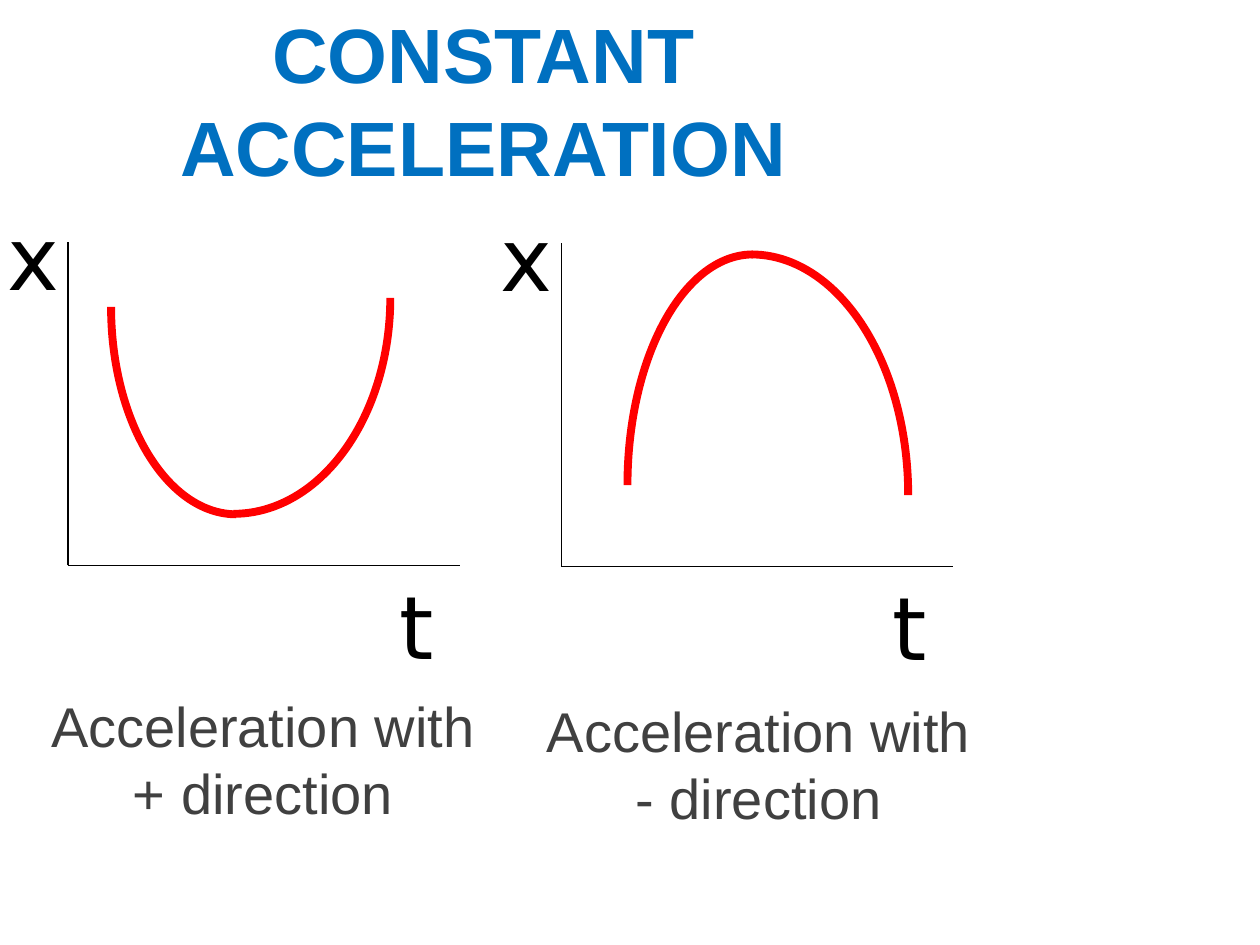
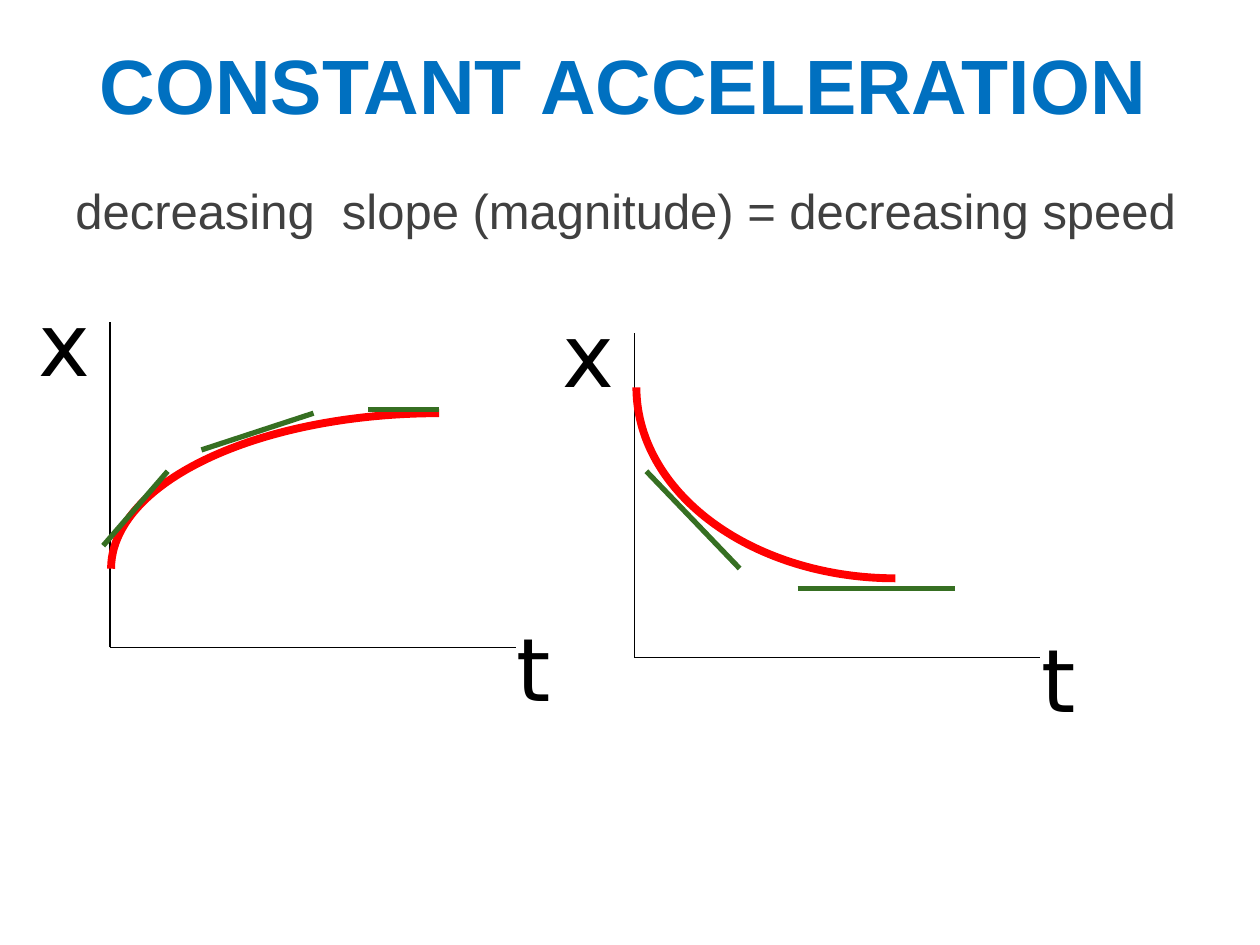
"""Build two slides of position-time graphs for constant acceleration."""
from lxml import etree
from pptx import Presentation
from pptx.dml.color import RGBColor
from pptx.enum.shapes import MSO_CONNECTOR, MSO_SHAPE
from pptx.enum.text import MSO_ANCHOR, MSO_AUTO_SIZE, PP_ALIGN
from pptx.oxml.ns import qn
from pptx.util import Cm, Pt

ARC, STRAIGHT = MSO_SHAPE.ARC, MSO_CONNECTOR.STRAIGHT
TOP, MIDDLE = MSO_ANCHOR.TOP, MSO_ANCHOR.MIDDLE
LEFT, CENTER = PP_ALIGN.LEFT, PP_ALIGN.CENTER
GROW, FIXED = MSO_AUTO_SIZE.SHAPE_TO_FIT_TEXT, MSO_AUTO_SIZE.NONE

BLUE = RGBColor(0x00, 0x70, 0xC0)
BLACK = RGBColor(0x00, 0x00, 0x00)
GREY = RGBColor(0x40, 0x40, 0x40)
RED = RGBColor(0xFF, 0x00, 0x00)
GREEN = RGBColor(0x36, 0x6F, 0x22)

TITLE = "CONSTANT ACCELERATION"
TITLE_FONT = {"name": "Arial", "size": Pt(44), "bold": True}
CAPTION_FONT = {"name": "Arial", "size": Pt(32)}
STATEMENT_FONT = {"name": "Arial", "size": Pt(28)}
AXIS_FONT = {"name": "DejaVu Sans", "size": Pt(50)}
AXIS_LABEL_SIZE = (1.47, 2.39)

TURNING_LABELS = {"x": (-1.47, -0.91), "t": (6.43, 6.52)}
SLOWING_LABELS = {"x": (-1.7, -0.79), "t": (7.95, 5.76)}

TURNING_GRAPHS = [
    {
        "box": (1.37, 4.88, 7.9, 6.52),
        "arcs": [((0.18, -3.23, 6.32, 8.71), "V"),
                 ((0.87, -2.87, 5.05, 8.36), "HV")],
        "caption": "Acceleration with + direction",
        "caption_box": (-0.84, 8.94, 9.55, 3.43),
    },
    {
        "box": (11.32, 4.9, 7.9, 6.52),
        "arcs": [((0.67, 0.23, 6.32, 9.7), ""),
                 ((1.33, 0.23, 5.05, 9.3), "H")],
        "caption": "Acceleration with - direction",
        "caption_box": (-0.8, 9.02, 9.55, 3.43),
    },
]
SLOWING_GRAPHS = [
    {
        "box": (2.22, 6.5, 8.18, 6.55),
        "arcs": [((0.02, 1.83, 13.23, 6.27), "H")],
        "tangents": [((-0.14, 4.5), (1.16, 3)),
                     ((1.84, 2.57), (4.1, 1.83)),
                     ((5.2, 1.76), (6.62, 1.76))],
    },
    {
        "box": (12.79, 6.71, 8.18, 6.55),
        "arcs": [((0.04, -2.75, 10.44, 7.7), "HV")],
        "tangents": [((3.29, 5.15), (6.46, 5.15)),
                     ((2.12, 4.75), (0.24, 2.79))],
    },
]


def shift(box, origin):
    """Move a box or point given relative to an origin onto the slide."""
    return (box[0] + origin[0], box[1] + origin[1], *box[2:])


def add_text(slide, text, box, font, color, align=CENTER, anchor=TOP,
             before=0, auto_size=FIXED):
    """Add a one-paragraph text box."""
    frame = slide.shapes.add_textbox(*map(Cm, box)).text_frame
    frame_format = {"word_wrap": True, "auto_size": auto_size,
                    "vertical_anchor": anchor}
    for name, value in frame_format.items():
        setattr(frame, name, value)
    paragraph = frame.paragraphs[0]
    paragraph.alignment = align
    paragraph.space_before = Pt(before)
    run = paragraph.add_run()
    run.text = text
    for name, value in font.items():
        setattr(run.font, name, value)
    run.font.color.rgb = color


def add_line(slide, start, end, color, width):
    """Draw a straight line between two points."""
    line = slide.shapes.add_connector(STRAIGHT, *map(Cm, (*start, *end)))
    line.line.color.rgb = color
    line.line.width = Pt(width)
    etree.SubElement(line.element.spPr, qn("a:effectLst"))


def add_arc(slide, box, flips):
    """Draw a red quarter curve, mirrored along the named directions."""
    arc = slide.shapes.add_shape(ARC, *map(Cm, box))
    arc.shadow.inherit = False
    arc.fill.background()
    arc.line.color.rgb = RED
    arc.line.width = Pt(4.5)
    for direction in flips:
        arc.element.spPr.xfrm.set(f"flip{direction}", "1")


def add_graph(slide, graph, labels):
    """Draw axes, labels, curve, tangents and caption relative to the graph box."""
    origin = graph["box"]
    left, top, width, height = origin
    corner = (left, top + height)
    for end in ((left, top), (left + width, top + height)):
        add_line(slide, corner, end, BLACK, 0.75)
    for text, position in labels.items():
        add_text(slide, text, shift((*position, *AXIS_LABEL_SIZE), origin),
                 AXIS_FONT, BLACK, LEFT, before=11.2, auto_size=GROW)
    for box, flips in graph["arcs"]:
        add_arc(slide, shift(box, origin), flips)
    for start, end in graph.get("tangents", []):
        add_line(slide, shift(start, origin), shift(end, origin), GREEN, 3)
    if "caption" in graph:
        add_text(slide, graph["caption"], shift(graph["caption_box"], origin),
                 CAPTION_FONT, GREY)


def add_graph_slide(presentation, title_box, graphs, labels):
    """Add a titled slide with its graphs and return it."""
    slide = presentation.slides.add_slide(presentation.slide_layouts[6])
    add_text(slide, TITLE, title_box, TITLE_FONT, BLUE, anchor=MIDDLE)
    for graph in graphs:
        add_graph(slide, graph, labels)
    return slide


def main():
    """Build and save the presentation."""
    presentation = Presentation()
    presentation.slide_width = Cm(25.4)
    presentation.slide_height = Cm(19.05)
    add_graph_slide(presentation, (1.17, 0.41, 17.15, 3.18),
                    TURNING_GRAPHS, TURNING_LABELS)
    slowing = add_graph_slide(presentation, (1.14, 0.64, 22.86, 2.11),
                              SLOWING_GRAPHS, SLOWING_LABELS)
    add_text(slowing, "decreasing  slope (magnitude) = decreasing speed",
             (1.27, 3.51, 23.5, 2.18), STATEMENT_FONT, GREY, LEFT)
    presentation.save("out.pptx")


if __name__ == "__main__":
    main()
